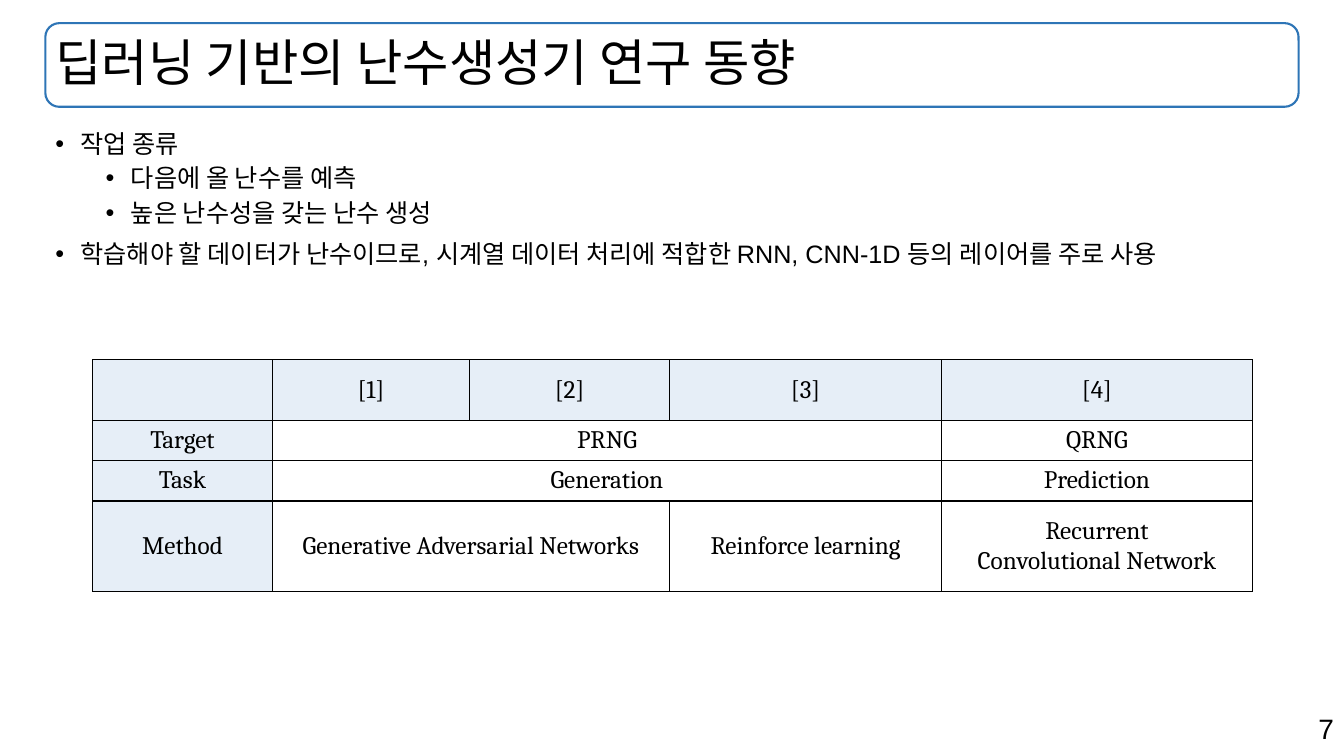
from dataclasses import dataclass

from lxml import etree
from pptx import Presentation
from pptx.dml.color import RGBColor
from pptx.enum.shapes import MSO_SHAPE
from pptx.enum.text import MSO_ANCHOR, PP_ALIGN
from pptx.oxml.ns import qn
from pptx.util import Pt

LEFT, CENTER, RIGHT = PP_ALIGN.LEFT, PP_ALIGN.CENTER, PP_ALIGN.RIGHT
TOP, MIDDLE = MSO_ANCHOR.TOP, MSO_ANCHOR.MIDDLE
ROUND_RECT = MSO_SHAPE.ROUNDED_RECTANGLE

TITLE = "딥러닝 기반의 난수생성기 연구 동향"
PAGE = "7"
BULLETS = [
    (0, "작업 종류"),
    (1, "다음에 올 난수를 예측"),
    (1, "높은 난수성을 갖는 난수 생성"),
    (0, "학습해야 할 데이터가 난수이므로, 시계열 데이터 처리에 적합한 RNN, CNN-1D 등의 레이어를 주로 사용"),
]
ROWS = [
    ["", "[1]", "[2]", "[3]", "[4]"],
    ["Target", "PRNG", None, None, "QRNG"],
    ["Task", "Generation", None, None, "Prediction"],
    ["Method", "Generative Adversarial Networks", None, "Reinforce learning",
     "Recurrent\nConvolutional Network"],
]

PX = 9144
SLIDE = (1333, 750)
TITLE_BOX = (45, 23, 1243, 83)
BODY_BOX = (45, 126, 1243, 613)
PAGE_BOX = (943, 701, 390, 44)
TABLE_AT = (92, 357)
COLS = [178, 196, 198, 270, 308]
HEIGHTS = [60, 40, 40, 90]
INDENTS = {0: 25, 1: 75}
SPACES = {0: 10, 1: 5}
HANG = 25
CELL_PAD = 5


@dataclass(frozen=True)
class Theme:
    ink: RGBColor = RGBColor(0, 0, 0)
    frame: RGBColor = RGBColor(0x2E, 0x75, 0xB6)
    head: RGBColor = RGBColor(0xE6, 0xEE, 0xF7)
    paper: RGBColor = RGBColor(255, 255, 255)
    sans: str = "Arial"
    serif: str = "Cambria"
    title: int = 36
    page: int = 20
    body: int = 18


T = Theme()


def emu(box):
    return [v * PX for v in box]


def write(p, text, size=T.body, font=T.sans, align=LEFT, spacing=None, before=0):
    p.text = text
    p.alignment = align
    p.space_before = Pt(before)
    if spacing:
        p.line_spacing = spacing
    for r in p.runs:
        r.font.size = Pt(size)
        r.font.name = font
        r.font.color.rgb = T.ink


def set_bullet(p, level):
    p.level = level
    pPr = p._p.get_or_add_pPr()
    pPr.set("marL", str(INDENTS[level] * PX))
    pPr.set("indent", str(-HANG * PX))
    etree.SubElement(pPr, qn("a:buFont"), typeface=T.sans)
    etree.SubElement(pPr, qn("a:buChar"), char="•")


def set_borders(cell):
    tcPr = cell._tc.get_or_add_tcPr()
    for i, side in enumerate(("a:lnL", "a:lnR", "a:lnT", "a:lnB")):
        ln = etree.Element(qn(side), w=str(Pt(1)))
        fill = etree.SubElement(ln, qn("a:solidFill"))
        etree.SubElement(fill, qn("a:srgbClr"), val=str(T.ink))
        tcPr.insert(i, ln)


def add_title(s):
    frame = s.shapes.add_shape(ROUND_RECT, *emu(TITLE_BOX))
    frame.shadow.inherit = False
    frame.fill.background()
    frame.line.color.rgb = T.frame
    frame.line.width = Pt(1.5)
    title = s.shapes.title
    title.left, title.top, title.width, title.height = emu(TITLE_BOX)
    title.text_frame.vertical_anchor = MIDDLE
    write(title.text_frame.paragraphs[0], TITLE, size=T.title, spacing=0.9)


def add_text_box(s, box):
    tf = s.shapes.add_textbox(*emu(box)).text_frame
    tf.word_wrap = True
    tf.vertical_anchor = TOP
    return tf


def add_bullets(s):
    tf = add_text_box(s, BODY_BOX)
    for i, (level, text) in enumerate(BULLETS):
        p = tf.add_paragraph() if i else tf.paragraphs[0]
        write(p, text, spacing=0.9, before=SPACES[level] if i else 0)
        set_bullet(p, level)


def add_comparison(s):
    box = (*TABLE_AT, sum(COLS), sum(HEIGHTS))
    table = s.shapes.add_table(len(ROWS), len(COLS), *emu(box)).table
    for col, width in zip(table.columns, COLS):
        col.width = width * PX
    for row, height in zip(table.rows, HEIGHTS):
        row.height = height * PX
    for i, row in enumerate(ROWS):
        for j, text in enumerate(row):
            cell = table.cell(i, j)
            cell.fill.solid()
            cell.fill.fore_color.rgb = T.head if i == 0 or j == 0 else T.paper
            cell.vertical_anchor = MIDDLE
            cell.margin_left = cell.margin_right = CELL_PAD * PX
            cell.margin_top = cell.margin_bottom = 0
            set_borders(cell)
            if text is None:
                continue
            write(cell.text_frame.paragraphs[0], text, font=T.serif, align=CENTER)
            end = j
            while end + 1 < len(row) and row[end + 1] is None:
                end += 1
            if end > j:
                cell.merge(table.cell(i, end))


def main():
    prs = Presentation()
    prs.slide_width, prs.slide_height = emu(SLIDE)
    s = prs.slides.add_slide(prs.slide_layouts[5])
    add_title(s)
    add_bullets(s)
    add_comparison(s)
    page = add_text_box(s, PAGE_BOX)
    write(page.paragraphs[0], PAGE, size=T.page, align=RIGHT)
    prs.save("out.pptx")


if __name__ == "__main__":
    main()
